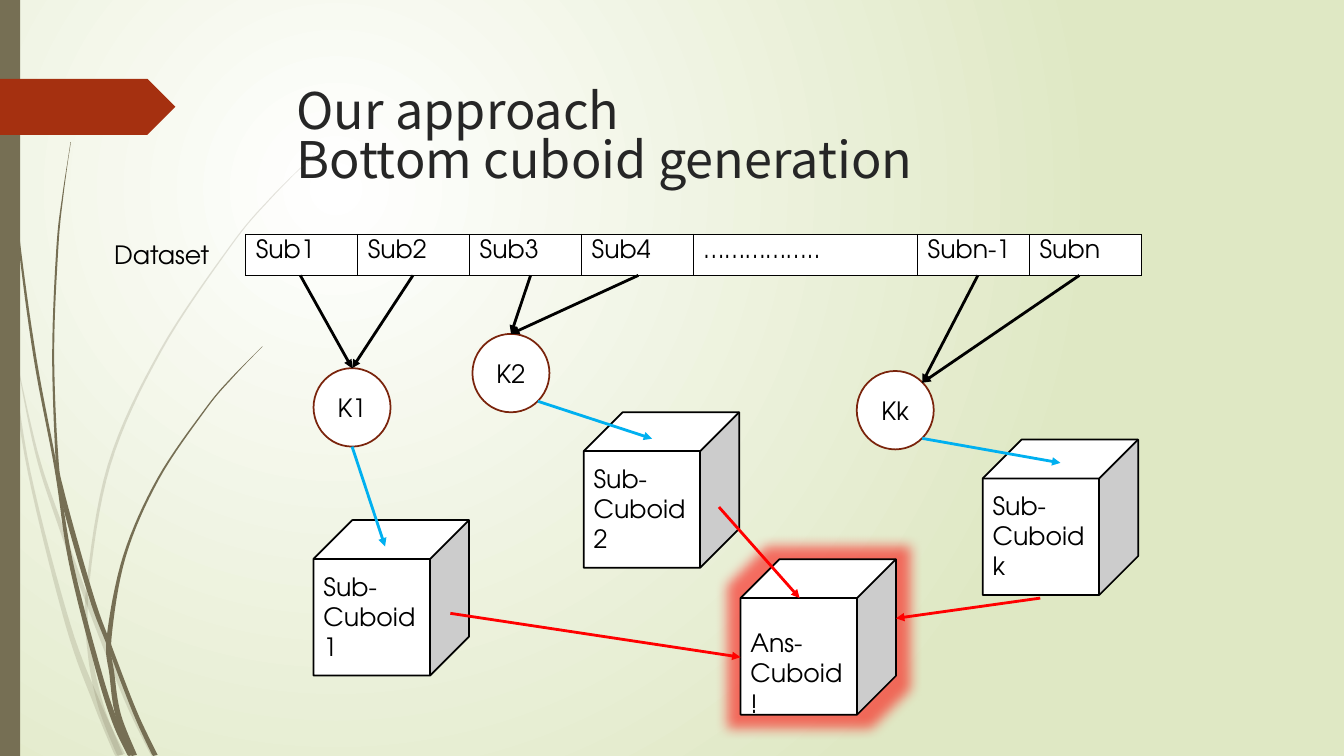
from math import hypot

from lxml.etree import SubElement
from pptx import Presentation
from pptx.dml.color import RGBColor
from pptx.enum.shapes import MSO_CONNECTOR, MSO_SHAPE
from pptx.enum.text import MSO_ANCHOR, PP_ALIGN
from pptx.oxml.ns import qn
from pptx.util import Pt

WHITE = RGBColor(0xFF, 0xFF, 0xFF)
BLACK = RGBColor(0, 0, 0)
PALE_GREEN = RGBColor(0xDF, 0xE8, 0xC4)
OLIVE = RGBColor(0x76, 0x6F, 0x54)
RUST = RGBColor(0xA5, 0x30, 0x10)
DARK_RUST = RGBColor(0x7A, 0x24, 0x0C)
CHARCOAL = RGBColor(0x26, 0x26, 0x26)
BLUE = RGBColor(0x00, 0xB0, 0xF0)
RED = RGBColor(0xFF, 0, 0)
TITLE_FONT = "Noto Sans CJK SC"
BODY_FONT = "TeX Gyre Adventor"

# Grass blades: centre line points as (x, y, width)
FADED_BLADES = [
    [(0, 209, 3), (7, 249, 2), (21, 338, 2), (48.5, 446, 3.5), (70, 504, 5), (86, 540, 7)],
    [(10, 248, 0), (26, 323, 2), (43, 375, 3), (62, 428, 3), (90, 499, 3), (110, 540, 3.5)],
    [(224.5, 110.5, 0), (193, 142, 0.7), (164.5, 176, 0.8), (114.5, 251, 1.4),
     (78, 332, 2), (62.5, 420.5, 2), (64, 465, 3), (72, 504, 4), (86, 540, 4)],
]
DARK_BLADES = [
    [(2.5, 0, 0.7), (4.5, 79, 1), (13, 167.5, 1.4), (25, 255.5, 2), (40, 335, 2),
     (50.5, 401, 3), (69, 474, 3.6), (82, 515, 4), (94.5, 540, 5.5)],
    [(50.5, 101.5, 0), (45, 139, 0.8), (41, 176.5, 1.4), (38, 251, 1.4), (40.5, 324, 2),
     (44.5, 353, 3.5), (65, 425.5, 3.5), (78, 461, 3), (96.5, 509, 3), (111, 540, 3.6)],
    [(187.5, 247.5, 0), (166.5, 269, 0.8), (147, 292, 0.9), (113, 342, 1.4),
     (89, 397, 2), (78, 455, 3.5), (80, 482, 3.6), (84.5, 511, 4), (96, 540, 4)],
]


def set_font(paragraph, name, size, color):
    paragraph.font.name = name
    paragraph.font.size = Pt(size)
    paragraph.font.color.rgb = color


def add_filled(slide, preset, box, fill, line=None):
    shape = slide.shapes.add_shape(preset, *[Pt(length) for length in box])
    shape.shadow.inherit = False
    shape.fill.solid()
    shape.fill.fore_color.rgb = fill
    if line is None:
        shape.line.fill.background()
    else:
        shape.line.color.rgb = line
        shape.line.width = Pt(1.25)
    return shape


def write_label(shape, text, align, anchor, margins):
    frame = shape.text_frame
    frame.word_wrap = True
    frame.vertical_anchor = anchor
    frame.margin_left = frame.margin_right = Pt(margins[0])
    frame.margin_top, frame.margin_bottom = Pt(margins[1]), 0
    frame.text = text
    paragraph = frame.paragraphs[0]
    paragraph.alignment = align
    set_font(paragraph, BODY_FONT, 18, BLACK)


def add_arrow(slide, start, end, color):
    points = [Pt(value) for value in (*start, *end)]
    arrow = slide.shapes.add_connector(MSO_CONNECTOR.STRAIGHT, *points)
    arrow.line.color.rgb = color
    arrow.line.width = Pt(2)
    properties = arrow.element.spPr
    SubElement(properties.find(qn("a:ln")), qn("a:tailEnd"), type="triangle")
    SubElement(properties, qn("a:effectLst"))


def point_in(box, across, down):
    left, top, width, height = box
    return left + across * width, top + down * height


def smooth(points, steps=8):
    """Catmull-Rom curve through the given points."""
    padded = [points[0], *points, points[-1]]
    curve = []
    for a, b, c, d in zip(padded, padded[1:], padded[2:], padded[3:]):
        for step in range(steps):
            t = step / steps
            curve.append([
                (2 * q + (r - p) * t + (2 * p - 5 * q + 4 * r - s) * t ** 2
                 + (3 * q - p - 3 * r + s) * t ** 3) / 2
                for p, q, r, s in zip(a, b, c, d)])
    return curve + [list(points[-1])]


def add_blade(slide, box, points, opacity):
    curve = smooth(points)
    right, left = [], []
    for index, (x, y, width) in enumerate(curve):
        before, after = curve[max(index - 1, 0)], curve[min(index + 1, len(curve) - 1)]
        dx, dy = after[0] - before[0], after[1] - before[1]
        scale = max(width, 0.3) / 2 / hypot(dx, dy)
        for edge, sign in ((right, 1), (left, -1)):
            edge.append((Pt(max(0, box[0] + x + sign * dy * scale)),
                         Pt(min(box[1] + box[3], box[1] + y - sign * dx * scale))))
    outline = right + left[::-1]
    builder = slide.shapes.build_freeform(*outline[0])
    builder.add_line_segments(outline[1:], close=True)
    blade = builder.convert_to_shape()
    blade.shadow.inherit = False
    blade.fill.solid()
    blade.fill.fore_color.rgb = OLIVE
    blade.line.fill.background()
    if opacity < 100:
        color = blade.element.spPr.find(qn("a:solidFill"))[0]
        SubElement(color, qn("a:alpha"), val=str(opacity * 1000))


def add_backdrop(slide, box):
    # Radial gradient
    fill = slide.background.fill
    fill.gradient()
    for stop, color in zip(fill.gradient_stops, (WHITE, PALE_GREEN)):
        stop.color.rgb = color
    gradient = next(slide.element.iter(qn("a:gradFill")))
    gradient.remove(gradient.find(qn("a:lin")))
    circle = SubElement(gradient, qn("a:path"), path="circle")
    SubElement(circle, qn("a:fillToRect"), l="50000", t="50000", r="100000", b="100000")
    # Grass, side bar and tag
    for blades, opacity in ((FADED_BLADES, 20), (DARK_BLADES, 100)):
        for points in blades:
            add_blade(slide, box, points, opacity)
    left, top, _, height = box
    add_filled(slide, MSO_SHAPE.RECTANGLE, (left, top, 14.4, height), OLIVE)
    add_filled(slide, MSO_SHAPE.PENTAGON, (left, top + 56.3, 125.3, 40), RUST)


def add_title(slide, box):
    title = slide.shapes.title
    title.left, title.top, title.width, title.height = [Pt(length) for length in box]
    frame = title.text_frame
    frame.text = "Our approach\vBottom cuboid generation"
    frame.vertical_anchor = MSO_ANCHOR.MIDDLE
    paragraph = frame.paragraphs[0]
    paragraph.alignment = PP_ALIGN.LEFT
    paragraph.line_spacing = 0.82
    set_font(paragraph, TITLE_FONT, 36, CHARCOAL)


def add_dataset(slide, box):
    left, top, _, height = box
    label = slide.shapes.add_textbox(Pt(left - 101), Pt(top), Pt(86), Pt(height))
    write_label(label, "Dataset", PP_ALIGN.LEFT, MSO_ANCHOR.TOP, (7.2, 3.6))
    names = ["Sub1", "Sub2", "Sub3", "Sub4", "……………..", "Subn-1", "Subn"]
    names[4] = "…" * 5 + ".."
    table = slide.shapes.add_table(1, len(names), *[Pt(length) for length in box]).table
    table.first_row = table.horz_banding = False
    for index, name in enumerate(names):
        table.columns[index].width = Pt(160 if index == 4 else 80)
        cell = table.cell(0, index)
        cell.text = name
        set_font(cell.text_frame.paragraphs[0], BODY_FONT, 18, BLACK)
        properties = cell._tc.get_or_add_tcPr()
        for side in ("lnL", "lnR", "lnT", "lnB"):
            border = SubElement(properties, qn("a:" + side), w=str(Pt(1)))
            SubElement(SubElement(border, qn("a:solidFill")), qn("a:srgbClr"), val=str(BLACK))
        cell.fill.solid()
        cell.fill.fore_color.rgb = WHITE


def add_cube(slide, box, text, margin_top):
    cube = add_filled(slide, MSO_SHAPE.CUBE, box, WHITE, BLACK)
    write_label(cube, text, PP_ALIGN.LEFT, MSO_ANCHOR.TOP, (7.2, margin_top))
    return cube


def add_worker(slide, name, node, cube, sources, source_y, entry, leave, target):
    circle = add_filled(slide, MSO_SHAPE.OVAL, node, WHITE, DARK_RUST)
    write_label(circle, name, PP_ALIGN.CENTER, MSO_ANCHOR.MIDDLE, (0, 0))
    add_cube(slide, cube, "Sub-Cuboid" + name[1:], 8.5)
    for x in sources:
        add_arrow(slide, (x, source_y), point_in(node, *entry), BLACK)
    add_arrow(slide, point_in(node, *leave), point_in(cube, *target), BLUE)


def add_answer(slide, box, cubes):
    answer = add_cube(slide, box, "Ans-Cuboid!", 21)
    effects = answer.element.spPr.find(qn("a:effectLst"))
    glow = SubElement(effects, qn("a:glow"), rad=str(Pt(18)))
    color = SubElement(glow, qn("a:srgbClr"), val=str(RED))
    SubElement(color, qn("a:alpha"), val="55000")
    joins = [((0.88, 0.6), (0, 0.63)), ((0.87, 0.61), (0.38, 0.25)), ((0.37, 1.02), (1, 0.38))]
    for cube, (start, end) in zip(cubes, joins):
        add_arrow(slide, point_in(cube, *start), point_in(box, *end), RED)


presentation = Presentation()
presentation.slide_width, presentation.slide_height = Pt(960), Pt(540)
slide = presentation.slides.add_slide(presentation.slide_layouts[5])
add_backdrop(slide, (0, 0, 960, 540))
add_title(slide, (204.5, 49, 702, 100.8))
dataset = (175.5, 167.5, 640, 29.2)
add_dataset(slide, dataset)

# Workers: name, circle corner, cube corner, arrow sources, circle entry and exit, cube target
workers = [
    ("K1", (224, 263), (224, 371.5), (214.5, 295), (0.5, 0), (0.5, 1), (0.46, 0.17)),
    ("K2", (337.5, 238.5), (417, 294.5), (379, 456), (0.5, 0), (0.85, 0.86), (0.44, 0.17)),
    ("Kk", (612, 265), (702, 314), (698.5, 771), (0.85, 0.15), (0.85, 0.86), (0.5, 0.15)),
]
cubes = []
for name, node, cube, sources, entry, leave, target in workers:
    cubes.append((*cube, 111, 111))
    add_worker(slide, name, (*node, 55, 56), cubes[-1], sources,
               dataset[1] + dataset[3], entry, leave, target)
add_answer(slide, (529, 399.5, 111, 111), cubes)
presentation.save("out.pptx")
